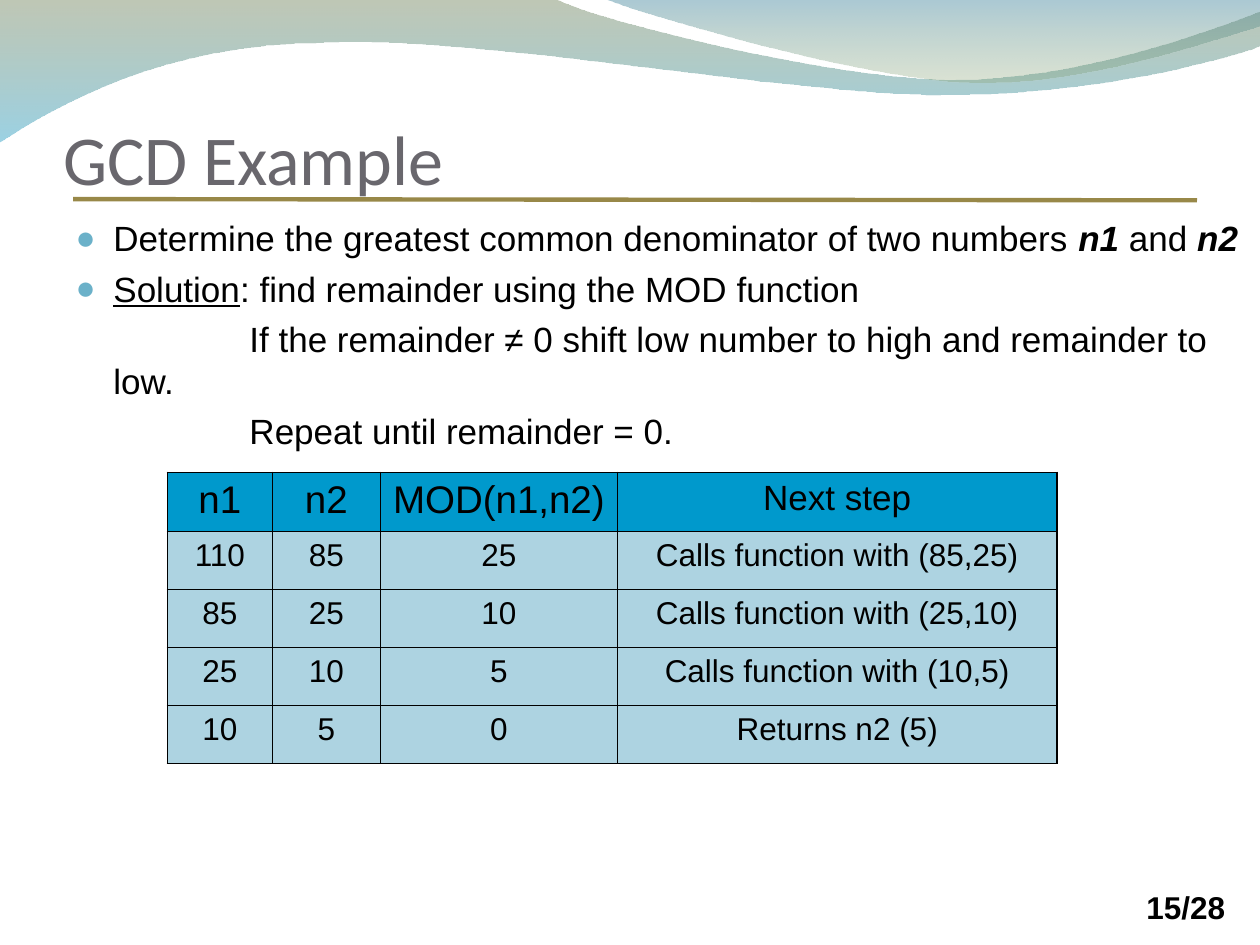
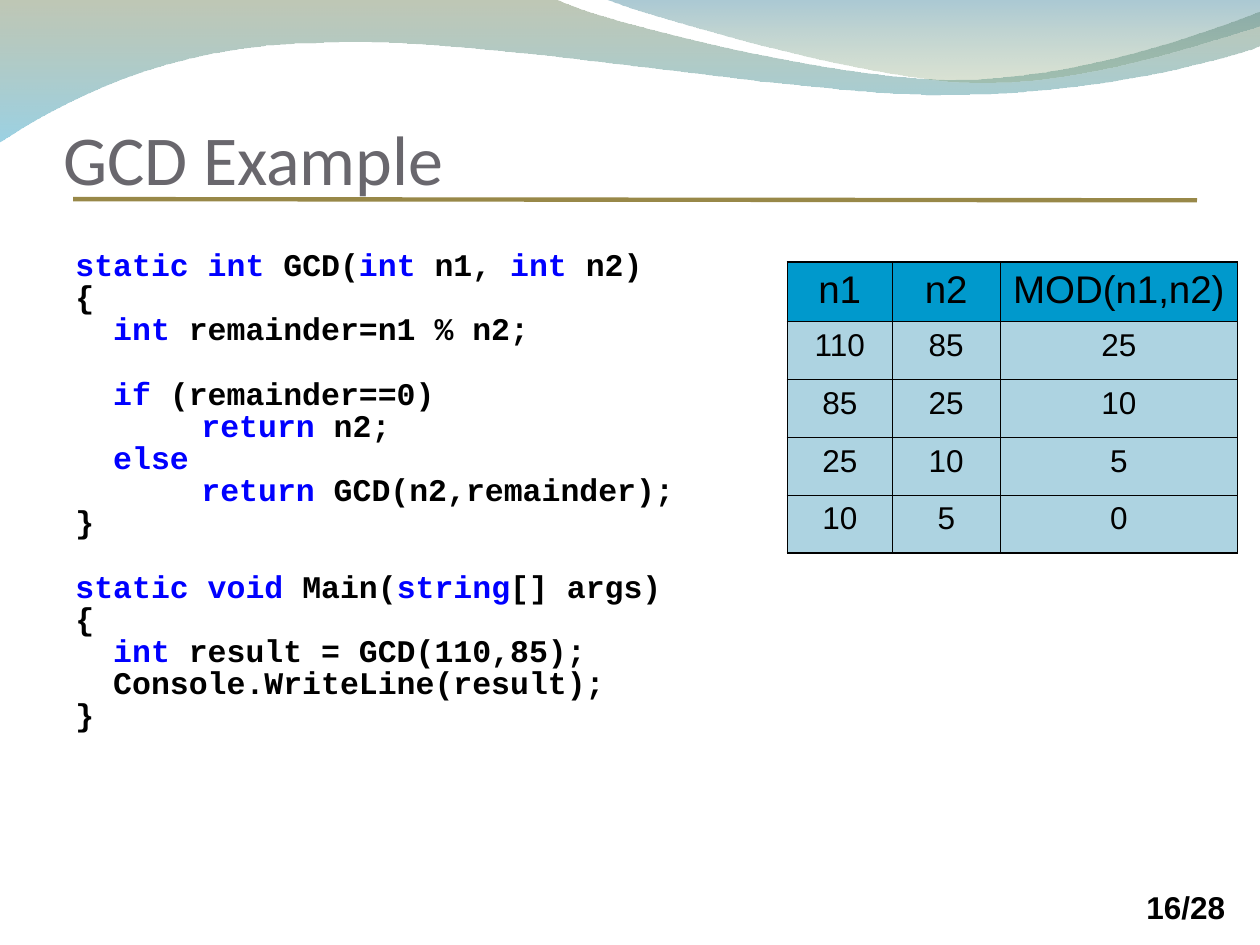
import dataclasses
import typing

import lxml.etree
import pptx
import pptx.dml.color
import pptx.enum.shapes
import pptx.enum.text
import pptx.oxml.ns
import pptx.util

PX = 9144  # 100 px to the inch
TITLE_ONLY, TITLE_AND_CONTENT = 5, 1
BLACK, TITLE_GREY, RULE_GOLD = "000000", "69676D", "988848"
BULLET_BLUE, KEYWORD_BLUE = "6BB1C9", "0000FF"
HEADER_FILL, ROW_FILL = "0099CC", "ADD3E1"
SANS, TITLE_FONT, MONO = "Arial", "Calibri", "Courier New"
THIN, THICK = 0.45, 1.08
CODE_SIZE, BLANK_LINE = 18, 18.4
PAGE_COUNT = 28


class Box(typing.NamedTuple):
    left: int
    top: int
    width: int
    height: int


class Stop(typing.NamedTuple):
    colour: str
    opacity: int


class Run(typing.NamedTuple):
    text: str
    emphasis: bool = False
    underline: bool = False


@dataclasses.dataclass(frozen=True)
class Wave:
    """Segments hold one point for a line or three for a Bezier curve."""
    start: tuple
    segments: tuple
    stops: tuple


@dataclasses.dataclass(frozen=True)
class BodyLine:
    runs: tuple
    bullet: bool = False


@dataclasses.dataclass(frozen=True)
class Grid:
    left: int
    top: int
    widths: tuple
    rows: tuple
    right_border: float


WAVES = (
    Wave((0, -1), (
        ((440, -1),),
        ((476, 17), (664, 63), (758, 63)),
        ((853, 63), (958, 26), (1000, 9)),
        ((1001, 36),),
        ((983, 44), (870, 76), (746, 75)),
        ((622, 75), (382, 28), (257, 34)),
        ((129, 35), (46, 83), (-1, 113)),
    ), (Stop("72845C", 45), Stop("49ACCD", 55))),
    Wave((479, -1), (
        ((509, 11), (682, 62), (769, 65)),
        ((856, 69), (961, 32), (1000, 21)),
        ((1000, 0),),
    ), (Stop("42869E", 45), Stop("8AA26C", 30))),
)

BODY = (
    BodyLine((Run("Determine the greatest common denominator of two numbers "),
              Run("n1 ", emphasis=True), Run("and "), Run("n2", emphasis=True)), bullet=True),
    BodyLine((Run("Solution", underline=True),
              Run(": find remainder using the MOD function")), bullet=True),
    BodyLine((Run("If the remainder ≠ 0 shift low number to high and remainder to low."),)),
    BodyLine((Run("Repeat until remainder = 0."),)),
)

STEPS = (
    ("n1", "n2", "MOD(n1,n2)", "Next step"),
    ("110", "85", "25", "Calls function with (85,25)"),
    ("85", "25", "10", "Calls function with (25,10)"),
    ("25", "10", "5", "Calls function with (10,5)"),
    ("10", "5", "0", "Returns n2 (5)"),
)
WIDTHS = (83, 86, 188, 349)

# Backticks enclose keywords.
CODE = """`static int` GCD(`int` n1, `int` n2)
{
`  int` remainder=n1 % n2;

`  if` (remainder==0)
\t`return` n2;
`  else`
\t`return` GCD(n2,remainder);
}

`static void` Main(`string`[] args)
{
`  int` result = GCD(110,85);
  Console.WriteLine(result);
}"""


def rgb(colour: str) -> pptx.dml.color.RGBColor:
    return pptx.dml.color.RGBColor.from_string(colour)


def add_xml(parent, tag: str, **attributes: str):
    element = lxml.etree.SubElement(parent, pptx.oxml.ns.qn(tag))
    for name, value in attributes.items():
        element.set(name, value)
    return element


def style_font(font, name: str, size: float, colour: str, bold: bool = False) -> None:
    font.name, font.size, font.bold = name, pptx.util.Pt(size), bold
    font.color.rgb = rgb(colour)


def place(shape, box: Box) -> None:
    shape.left, shape.top, shape.width, shape.height = (value * PX for value in box)


def add_text_box(slide, box: Box):
    text_frame = slide.shapes.add_textbox(*(value * PX for value in box)).text_frame
    text_frame.word_wrap = True
    return text_frame


def bend_segments(shape, segments: tuple) -> None:
    """Merge the three straight steps of each curved segment into one Bezier curve."""
    lines = iter(shape._element.xpath(".//a:path/a:lnTo"))
    for segment in segments:
        steps = [next(lines) for _ in segment]
        if len(steps) == 3:
            curve = lxml.etree.Element(pptx.oxml.ns.qn("a:cubicBezTo"))
            steps[0].addprevious(curve)
            for step in steps:
                curve.append(step[0])
                step.getparent().remove(step)


def add_wave(slide, wave: Wave):
    points = [point for segment in wave.segments for point in segment]
    builder = slide.shapes.build_freeform(*wave.start, scale=PX)
    builder.add_line_segments(points, close=True)
    shape = builder.convert_to_shape()
    bend_segments(shape, wave.segments)
    shape.shadow.inherit = False
    shape.line.fill.background()
    shape.fill.gradient()
    shape.fill.gradient_angle = 270
    for gradient_stop, stop in zip(shape.fill.gradient_stops, wave.stops):
        gradient_stop.color.rgb = rgb(stop.colour)
    colours = shape._element.spPr.findall(".//" + pptx.oxml.ns.qn("a:srgbClr"))
    for colour, stop in zip(colours, wave.stops):
        add_xml(colour, "a:alpha", val=str(stop.opacity * 1000))
    return shape


def add_title_rule(slide):
    rule = slide.shapes.add_connector(pptx.enum.shapes.MSO_CONNECTOR.STRAIGHT,
                                      58 * PX, 158 * PX, 950 * PX, 159 * PX)
    rule.line.color.rgb = rgb(RULE_GOLD)
    rule.line.width = pptx.util.Pt(2.5)
    add_xml(rule._element.spPr, "a:effectLst")
    return rule


def decorate_master(presentation, slide) -> None:
    """Draw the waves and the rule on a slide, then move them behind the master's placeholders."""
    shapes = [add_wave(slide, wave) for wave in WAVES] + [add_title_rule(slide)]
    tree = presentation.slide_master.shapes._spTree
    for position, shape in enumerate(shapes):
        shape._element.xpath(".//p:cNvPr")[0].set("id", str(100 + position))
        tree.insert(2 + position, shape._element)


def add_slide(presentation, layout: int, page: int):
    slide = presentation.slides.add_slide(presentation.slide_layouts[layout])
    title = slide.shapes.title
    place(title, Box(50, 33, 900, 125))
    text_frame = title.text_frame
    text_frame.text = "GCD Example"
    text_frame.auto_size = pptx.enum.text.MSO_AUTO_SIZE.NONE
    text_frame.vertical_anchor = pptx.enum.text.MSO_ANCHOR.BOTTOM
    text_frame.margin_left = text_frame.margin_right = text_frame.margin_bottom = 0
    paragraph = text_frame.paragraphs[0]
    paragraph.alignment = pptx.enum.text.PP_ALIGN.LEFT
    style_font(paragraph.font, TITLE_FONT, 40, TITLE_GREY)

    paragraph = add_text_box(slide, Box(900, 700, 92, 40)).paragraphs[0]
    paragraph.text = f"{page}/{PAGE_COUNT}"
    style_font(paragraph.font, SANS, 18, BLACK, bold=True)
    return slide


def set_bullet(paragraph, bullet: bool) -> None:
    """Hang the text after a bullet, or indent its first line without one."""
    properties = paragraph._p.get_or_add_pPr()
    properties.set("marL", str(30 * PX))
    properties.set("indent", str((-30 if bullet else 108) * PX))
    if not bullet:
        add_xml(properties, "a:buNone")
        return
    add_xml(add_xml(properties, "a:buClr"), "a:srgbClr", val=BULLET_BLUE)
    add_xml(properties, "a:buSzPct", val="95000")
    add_xml(properties, "a:buFont", typeface=SANS)
    add_xml(properties, "a:buChar", char="●")


def fill_body(slide, lines: tuple) -> None:
    body = slide.placeholders[1]
    place(body, Box(50, 167, 950, 533))
    text_frame = body.text_frame
    text_frame.auto_size = pptx.enum.text.MSO_AUTO_SIZE.NONE
    for index, line in enumerate(lines):
        paragraph = text_frame.add_paragraph() if index else text_frame.paragraphs[0]
        set_bullet(paragraph, line.bullet)
        paragraph.space_before = pptx.util.Pt(4.75 if index else 0)
        style_font(paragraph.font, SANS, 20, BLACK)
        for part in line.runs:
            run = paragraph.add_run()
            run.text = part.text
            if part.emphasis:
                run.font.bold = run.font.italic = True
            if part.underline:
                run.font.underline = True


def add_code(slide, code: str) -> None:
    text_frame = add_text_box(slide, Box(50, 194, 558, 393))
    text_frame.vertical_anchor = pptx.enum.text.MSO_ANCHOR.MIDDLE
    paragraph, gap = text_frame.paragraphs[0], 0
    for index, line in enumerate(code.split("\n")):
        if not line:
            gap = BLANK_LINE
            continue
        if index:
            paragraph = text_frame.add_paragraph()
        tabs = add_xml(paragraph._p.get_or_add_pPr(), "a:tabLst")
        add_xml(tabs, "a:tab", pos=str(100 * PX), algn="l")
        paragraph.line_spacing = 0.85
        paragraph.space_before = pptx.util.Pt(gap)
        gap = 0
        style_font(paragraph.font, MONO, CODE_SIZE, BLACK, bold=True)
        for part_index, part in enumerate(line.split("`")):
            if part:
                run = paragraph.add_run()
                run.text = part
                if part_index % 2:
                    run.font.color.rgb = rgb(KEYWORD_BLUE)


def set_borders(cell, widths: dict) -> None:
    properties = cell._tc.get_or_add_tcPr()
    for side in "LRTB":
        line = add_xml(properties, f"a:ln{side}", w=str(pptx.util.Pt(widths[side])))
        add_xml(add_xml(line, "a:solidFill"), "a:srgbClr", val=BLACK)


def add_grid(slide, grid: Grid) -> None:
    heights = (47,) + (46,) * (len(grid.rows) - 1)
    box = Box(grid.left, grid.top, sum(grid.widths), sum(heights))
    table = slide.shapes.add_table(len(heights), len(grid.widths),
                                   *(value * PX for value in box)).table
    table.first_row = table.horz_banding = False
    for column, width in zip(table.columns, grid.widths):
        column.width = width * PX
    last_row, last_column = len(heights) - 1, len(grid.widths) - 1
    for row, (values, height) in enumerate(zip(grid.rows, heights)):
        table.rows[row].height = height * PX
        for column, value in enumerate(values):
            cell = table.cell(row, column)
            set_borders(cell, {
                "L": THIN if column else THICK,
                "R": grid.right_border if column == last_column else THIN,
                "T": THIN if row else THICK,
                "B": THICK if row == last_row else THIN,
            })
            cell.fill.solid()
            cell.fill.fore_color.rgb = rgb(ROW_FILL if row else HEADER_FILL)
            paragraph = cell.text_frame.paragraphs[0]
            paragraph.text = value
            paragraph.alignment = pptx.enum.text.PP_ALIGN.CENTER
            size = 18 if row else 20 if value == "Next step" else 22
            style_font(paragraph.font, SANS, size, BLACK)


def main() -> None:
    presentation = pptx.Presentation()
    presentation.slide_width, presentation.slide_height = 1000 * PX, 750 * PX

    steps_slide = add_slide(presentation, TITLE_AND_CONTENT, 15)
    decorate_master(presentation, steps_slide)
    fill_body(steps_slide, BODY)
    add_grid(steps_slide, Grid(133, 375, WIDTHS, STEPS, THICK))

    code_slide = add_slide(presentation, TITLE_ONLY, 16)
    add_code(code_slide, CODE)
    add_grid(code_slide, Grid(625, 208, WIDTHS[:3], tuple(row[:3] for row in STEPS), THIN))

    presentation.save("out.pptx")


if __name__ == "__main__":
    main()
